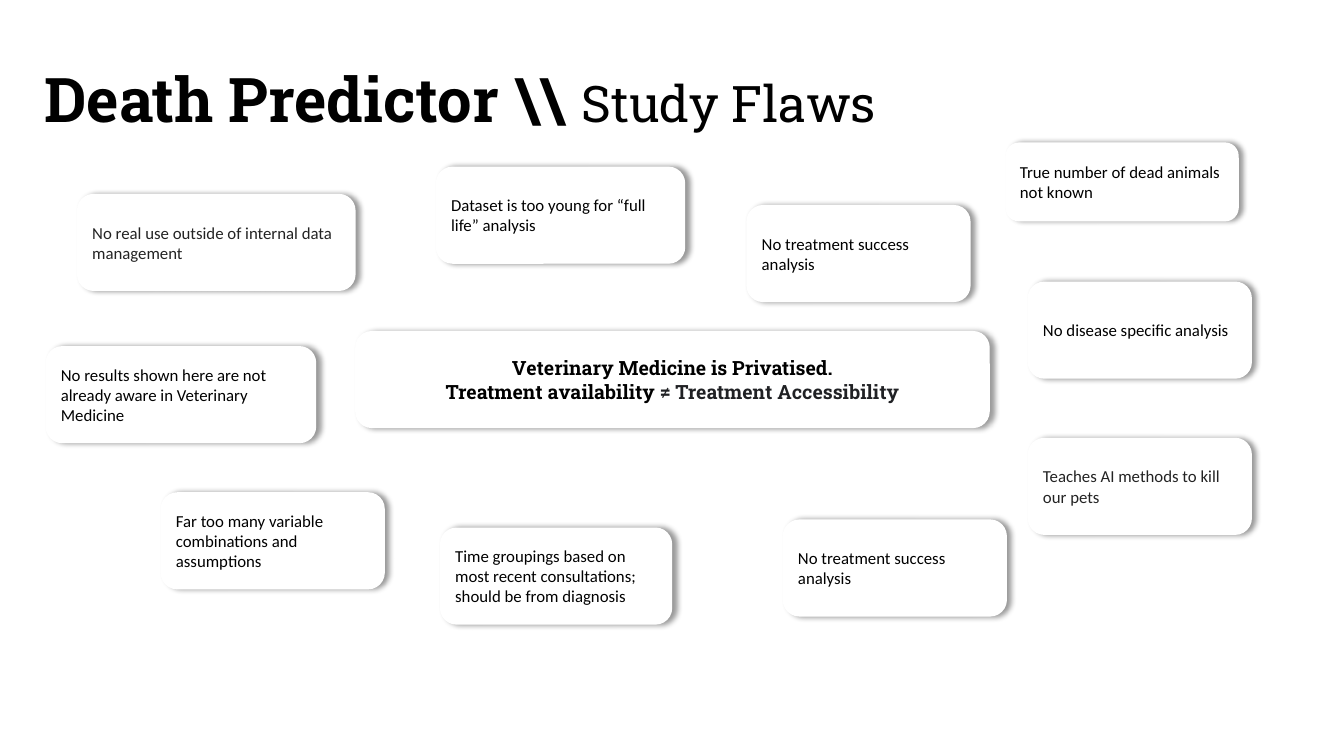
from lxml import etree
from pptx import Presentation
from pptx.dml.color import RGBColor
from pptx.enum.shapes import MSO_SHAPE
from pptx.enum.text import MSO_ANCHOR, PP_ALIGN
from pptx.oxml.ns import qn
from pptx.util import Pt

ROUNDED = MSO_SHAPE.ROUNDED_RECTANGLE
MIDDLE, BOTTOM = MSO_ANCHOR.MIDDLE, MSO_ANCHOR.BOTTOM
LEFT, CENTER = PP_ALIGN.LEFT, PP_ALIGN.CENTER

PX = 9144  # EMU per px, 100 px to the inch
COLORS = {"white": "FFFFFF", "black": "000000", "dark": "232323", "slate": "202124"}

BODY = {"size": Pt(12), "name": "Calibri", "bold": False}
MESSAGE = {"size": Pt(14), "name": "Roboto Slab", "bold": True}
HEADING = {"size": Pt(44), "name": "Roboto Slab", "bold": True}
SUBHEADING = {"size": Pt(36), "name": "Roboto Slab", "bold": False}

# Cards: left, top, width, height, text, colour
FLAWS = [
    (77, 193, 275, 95, "No real use outside of internal data management", "dark"),
    (1020, 435, 221, 95, "Teaches AI methods to kill our pets", "dark"),
    (1020, 280, 221, 95, "No disease specific analysis", "black"),
    (437, 524, 229, 95,
     "Time groupings based on most recent consultations; should be from diagnosis", "black"),
    (160, 489, 221, 95, "Far too many variable combinations and assumptions", "black"),
    (433, 166, 246, 95, "Dataset is too young for “full life” analysis", "black"),
    (741, 204, 221, 95, "No treatment success analysis", "black"),
    (777, 516, 221, 95, "No treatment success analysis", "black"),
    (46, 344, 267, 95,
     "No results shown here are not already aware in Veterinary Medicine", "black"),
    (998, 142, 230, 77, "True number of dead animals not known", "black"),
]


def rgb(color):
    return RGBColor.from_string(COLORS[color])


def to_emu(box):
    return [length * PX for length in box]


def write_paragraphs(text_frame, paragraphs, alignment):
    """Each paragraph is a list of (text, format, colour) runs."""
    for index, runs in enumerate(paragraphs):
        paragraph = text_frame.add_paragraph() if index else text_frame.paragraphs[0]
        paragraph.alignment = alignment
        for text, text_format, color in runs:
            run = paragraph.add_run()
            run.text = text
            for attribute, value in text_format.items():
                setattr(run.font, attribute, value)
            run.font.color.rgb = rgb(color)


def add_shadow(shape):
    shape.shadow.inherit = False
    effects = shape._element.spPr.find(qn("a:effectLst"))
    shadow = etree.SubElement(effects, qn("a:outerShdw"), blurRad=str(Pt(4)),
                              dist=str(Pt(3)), dir="0", algn="l", rotWithShape="0")
    color = etree.SubElement(shadow, qn("a:srgbClr"), val=COLORS["black"])
    etree.SubElement(color, qn("a:alpha"), val="40000")


def add_title(slide, box):
    text_frame = slide.shapes.add_textbox(*to_emu(box)).text_frame
    text_frame.word_wrap = True
    text_frame.vertical_anchor = BOTTOM
    for side in ("left", "top", "right", "bottom"):
        setattr(text_frame, f"margin_{side}", 10 * PX)
    write_paragraphs(text_frame, [[(r"Death Predictor \\ ", HEADING, "black"),
                                   ("Study Flaws", SUBHEADING, "black")]], LEFT)


def add_card(slide, box, paragraphs, alignment=LEFT):
    card = slide.shapes.add_shape(ROUNDED, *to_emu(box))
    card.fill.solid()
    card.fill.fore_color.rgb = rgb("white")
    card.line.color.rgb = rgb("white")
    card.line.width = Pt(1)
    add_shadow(card)
    card.text_frame.word_wrap = True
    card.text_frame.vertical_anchor = MIDDLE
    write_paragraphs(card.text_frame, paragraphs, alignment)


def add_message(slide, box):
    add_card(slide, box, [
        [("Veterinary Medicine is Privatised.", MESSAGE, "black")],
        [("Treatment availability ", MESSAGE, "black"),
         ("≠ Treatment Accessibility", MESSAGE, "slate")],
    ], CENTER)


def main():
    presentation = Presentation()
    presentation.slide_width, presentation.slide_height = to_emu((1333, 750))
    slide = presentation.slides.add_slide(presentation.slide_layouts[6])

    # Title, central message, then the flaws around it
    add_title(slide, (34, 123, 1057, 21))
    add_message(slide, (353, 329, 628, 95))
    for *box, text, color in FLAWS:
        add_card(slide, box, [[(text, BODY, color)]])

    presentation.save("out.pptx")


if __name__ == "__main__":
    main()
